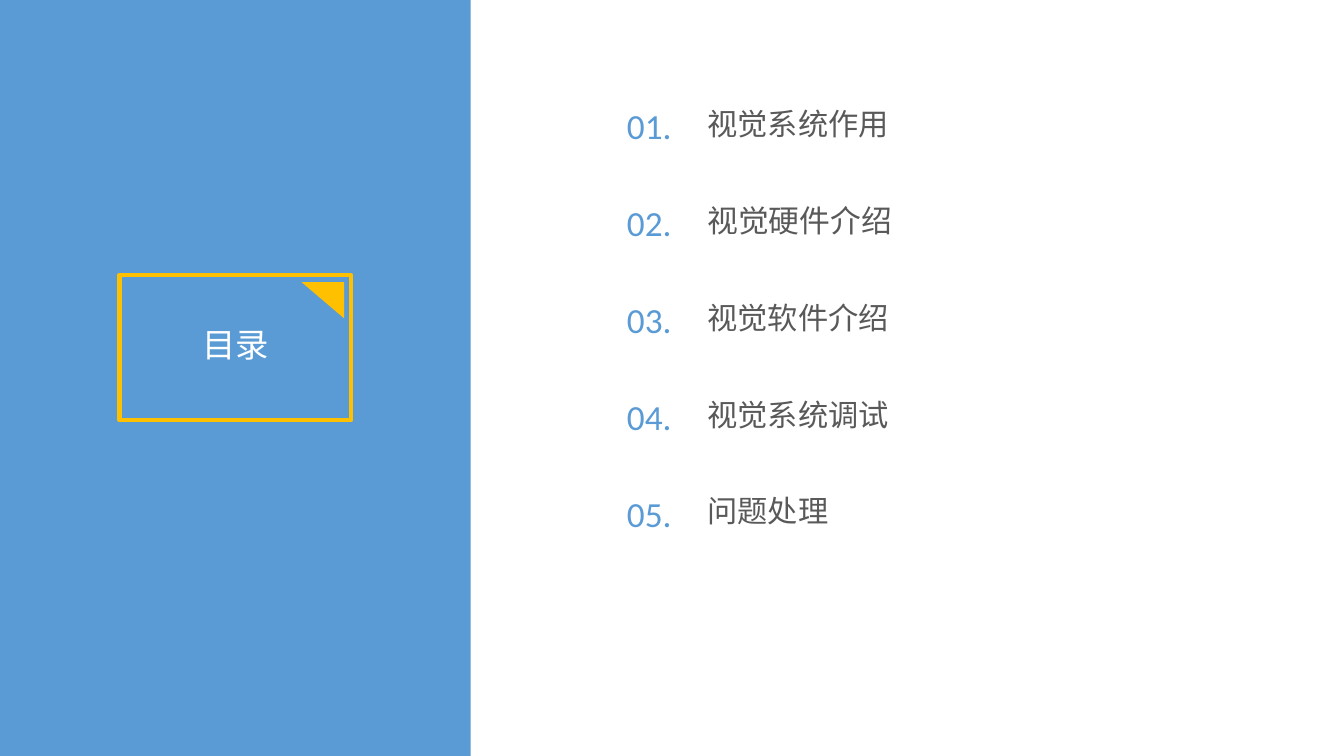
from pptx import Presentation
from pptx.dml.color import RGBColor
from pptx.enum.shapes import MSO_SHAPE
from pptx.enum.text import MSO_ANCHOR, MSO_AUTO_SIZE, PP_ALIGN
from pptx.util import Cm, Pt

COLORS = {"blue": "5B9BD5", "gold": "FFC000", "white": "FFFFFF", "gray": "595959"}
FONT = "Calibri"
TOPICS = ["视觉系统作用", "视觉硬件介绍", "视觉软件介绍", "视觉系统调试", "问题处理"]


def color(name):
    return RGBColor.from_string(COLORS[name])


def add_shape(s, kind, x, y, w, h, fill=None, line=None):
    sp = s.shapes.add_shape(kind, Cm(x), Cm(y), Cm(w), Cm(h))
    sp.shadow.inherit = False
    if fill:
        sp.fill.solid()
        sp.fill.fore_color.rgb = color(fill)
    else:
        sp.fill.background()
    if line:
        sp.line.color.rgb = color(line)
        sp.line.width = Pt(3)
    else:
        sp.line.fill.background()
    return sp


def write(tf, text, size, ink, align=PP_ALIGN.LEFT):
    tf.word_wrap = True
    p = tf.paragraphs[0]
    p.text = text
    p.alignment = align
    p.font.name = FONT
    p.font.size = Pt(size)
    p.font.bold = False
    p.font.color.rgb = color(ink)


def add_text(s, x, y, w, h, text, size, ink):
    sp = s.shapes.add_textbox(Cm(x), Cm(y), Cm(w), Cm(h))
    write(sp.text_frame, text, size, ink)


def title_panel(s, x, y, w, h):
    add_shape(s, MSO_SHAPE.RECTANGLE, x, y, w, h, fill="blue")
    frame_w, frame_h = 5.84, 3.66
    left, top = x + (w - frame_w) / 2, y + 6.93
    add_shape(s, MSO_SHAPE.RECTANGLE, left, top, frame_w, frame_h, line="gold")

    corner_w, corner_h, gap = 1.07, 0.91, 0.18
    corner = add_shape(s, MSO_SHAPE.ISOSCELES_TRIANGLE, left + frame_w - gap - corner_w,
                       top + gap, corner_w, corner_h, fill="gold")
    corner.adjustments[0] = 0
    corner.rotation = 180

    title = s.shapes.title
    title.left, title.top = Cm(left + 0.35), Cm(top + 1.1)
    title.width, title.height = Cm(frame_w - 0.7), Cm(1.45)
    tf = title.text_frame
    tf.auto_size = MSO_AUTO_SIZE.NONE
    tf.vertical_anchor = MSO_ANCHOR.TOP
    write(tf, "目录", 23.8, "white", PP_ALIGN.CENTER)
    # Bring the title in front of the panel
    title.element.getparent().append(title.element)


def topic_list(s, x, y, pitch):
    for i, topic in enumerate(TOPICS):
        top = y + i * pitch
        add_text(s, x, top, 1.83, 1.4, f"{i + 1:02d}.", 25.2, "blue")
        add_text(s, x + 2.03, top + 0.02, 7.9, 1.24, topic, 22 if i == 1 else 21.6, "gray")


def main():
    prs = Presentation()
    prs.slide_width, prs.slide_height = Cm(33.87), Cm(19.05)
    s = prs.slides.add_slide(prs.slide_layouts[5])
    title_panel(s, 0, 0, 11.86, 19.05)
    topic_list(s, 15.55, 2.51, 2.44)
    prs.save("out.pptx")


if __name__ == "__main__":
    main()
